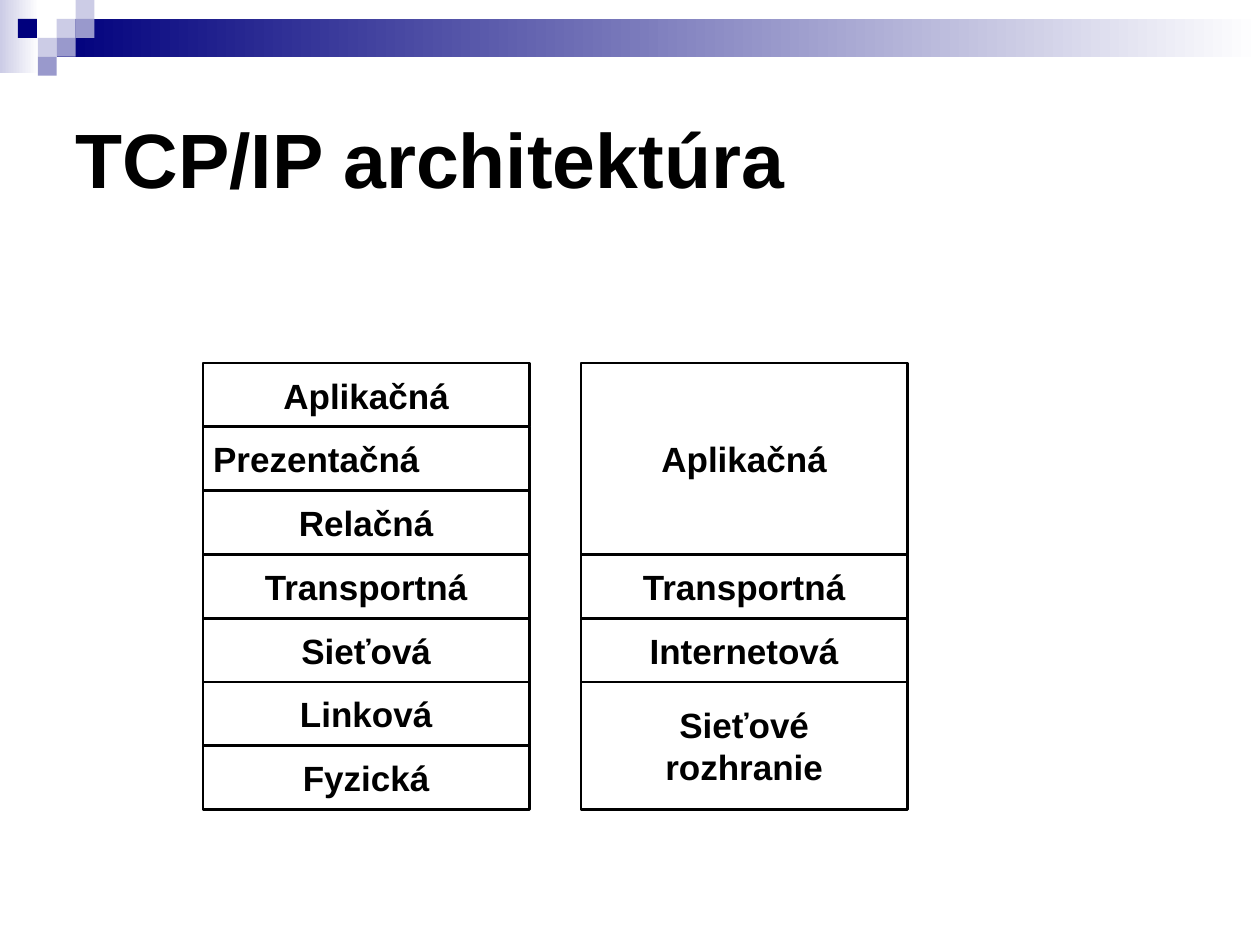
from pptx import Presentation
from pptx.dml.color import RGBColor
from pptx.enum.shapes import MSO_SHAPE
from pptx.enum.text import MSO_ANCHOR, PP_ALIGN
from pptx.util import Pt

RECTANGLE = MSO_SHAPE.RECTANGLE
MIDDLE = MSO_ANCHOR.MIDDLE
LEFT, CENTER = PP_ALIGN.LEFT, PP_ALIGN.CENTER

COLORS = {"ink": "000000", "white": "FFFFFF", "navy": "00007D",
          "pale": "CCCCE6", "lilac": "9999CC"}


class SlideBuilder:
    font_name = "Arial"
    title_size = 44
    layer_size = 20

    def __init__(self, slide):
        self.slide = slide

    def color(self, name):
        return RGBColor.from_string(COLORS[name])

    def set_text(self, frame, lines, size, align, margins):
        frame.word_wrap = True
        frame.vertical_anchor = MIDDLE
        for side, margin in margins.items():
            setattr(frame, f"margin_{side}", Pt(margin))
        font_format = {"name": self.font_name, "size": Pt(size), "bold": True}
        for index, line in enumerate(lines):
            paragraph = frame.add_paragraph() if index else frame.paragraphs[0]
            paragraph.alignment = align
            run = paragraph.add_run()
            run.text = line
            for key, value in font_format.items():
                setattr(run.font, key, value)
            run.font.color.rgb = self.color("ink")

    def title(self, text, left, top, width, height):
        title = self.slide.shapes.title
        place = {"left": left, "top": top, "width": width, "height": height}
        for key, value in place.items():
            setattr(title, key, Pt(value))
        self.set_text(title.text_frame, [text], self.title_size, LEFT,
                      {"left": 7.2, "right": 7.2, "top": 3.6, "bottom": 3.6})

    def rectangle(self, left, top, width, height):
        rectangle = self.slide.shapes.add_shape(
            RECTANGLE, Pt(left), Pt(top), Pt(width), Pt(height))
        rectangle.shadow.inherit = False
        return rectangle

    def square(self, left, top, size, fill):
        square = self.rectangle(left, top, size, size)
        square.fill.solid()
        square.fill.fore_color.rgb = self.color(fill)
        square.line.fill.background()

    def fade(self, left, top, width, height, start):
        band = self.rectangle(left, top, width, height)
        band.line.fill.background()
        band.fill.gradient()
        band.fill.gradient_angle = 0
        for stop, name in zip(band.fill.gradient_stops, (start, "white")):
            stop.color.rgb = self.color(name)

    def layer(self, left, top, width, height, lines, align):
        layer = self.rectangle(left, top, width, height)
        layer.fill.background()
        layer.line.color.rgb = self.color("ink")
        layer.line.width = Pt(1.5)
        self.set_text(layer.text_frame, lines, self.layer_size, align,
                      {"left": 5.76, "right": 5.76, "top": 2.88, "bottom": 2.88})

    def stack(self, left, top, width, row_height, layers):
        for lines, rows, align in layers:
            height = rows * row_height
            self.layer(left, top, width, height, lines, align)
            top += height


def main():
    presentation = Presentation()
    presentation.slide_width, presentation.slide_height = Pt(720), Pt(540)
    slide = presentation.slides.add_slide(presentation.slide_layouts[5])
    builder = SlideBuilder(slide)

    # Header bands and the squares on their grid
    unit = 10.8
    builder.fade(0, 0, 22.3, 41.8, "pale")
    builder.fade(3 * unit, unit, 720 - 3 * unit, 2 * unit, "navy")
    squares = [(3, 1, "pale"), (4, 0, "pale"), (4, 1, "lilac"),
               (2, 2, "pale"), (0.95, 1, "navy"), (3, 2, "lilac"),
               (2, 3, "lilac")]
    for column, row, fill in squares:
        builder.square(column * unit, row * unit, unit, fill)

    builder.title("TCP/IP architektúra", 36, 36, 648, 108)

    # Layers of the two models: lines, rows spanned, alignment
    osi_layers = [(["Aplikačná"], 1, CENTER), (["Prezentačná"], 1, LEFT),
                  (["Relačná"], 1, CENTER), (["Transportná"], 1, CENTER),
                  (["Sieťová"], 1, CENTER), (["Linková"], 1, CENTER),
                  (["Fyzická"], 1, CENTER)]
    tcp_ip_layers = [(["Aplikačná"], 3, CENTER), (["Transportná"], 1, CENTER),
                     (["Internetová"], 1, CENTER),
                     (["Sieťové", "rozhranie"], 2, CENTER)]
    for index, layers in enumerate((osi_layers, tcp_ip_layers)):
        builder.stack(116 + index * 216, 207.5, 186.5, 36.45, layers)

    presentation.save("out.pptx")


if __name__ == "__main__":
    main()
